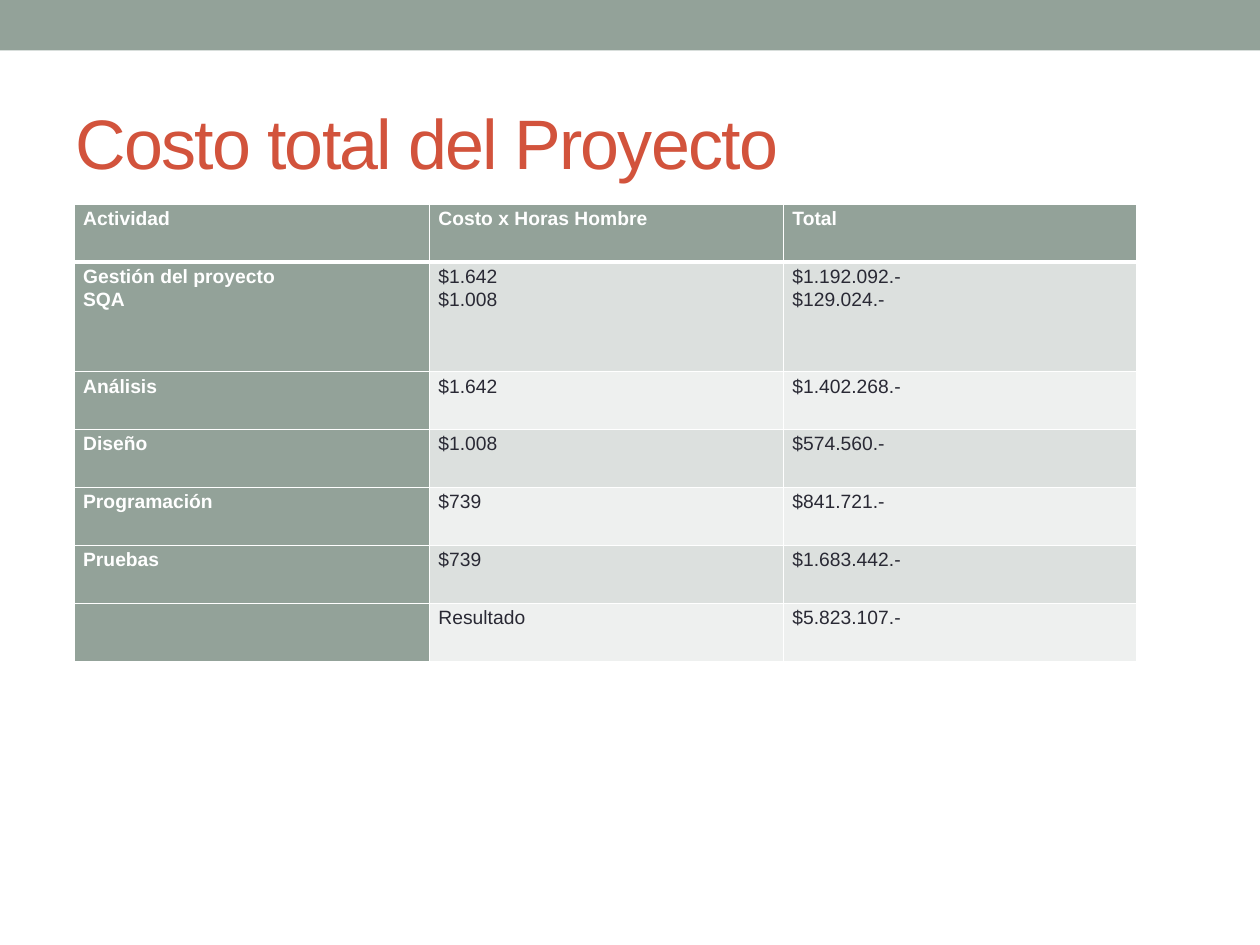
from lxml.etree import SubElement
from pptx import Presentation
from pptx.dml.color import RGBColor
from pptx.enum.shapes import MSO_SHAPE
from pptx.enum.text import MSO_ANCHOR, PP_ALIGN
from pptx.oxml.ns import qn
from pptx.util import Inches, Pt

COLORS = {
    "sage": "93A299",
    "title": "D2533C",
    "ink": "292934",
    "white": "FFFFFF",
    "band_dark": "DCE0DE",
    "band_light": "EEF0EF",
}
FONT = "Arial"
COLUMN_WIDTHS = [2.82, 2.81, 2.8]
ROW_HEIGHT = 0.46
TALL_ROW_HEIGHT = 0.87
COSTS = [
    ("Actividad", "Costo x Horas Hombre", "Total"),
    ("Gestión del proyecto\nSQA", "$1.642\n$1.008", "$1.192.092.-\n$129.024.-"),
    ("Análisis", "$1.642", "$1.402.268.-"),
    ("Diseño", "$1.008", "$574.560.-"),
    ("Programación", "$739", "$841.721.-"),
    ("Pruebas", "$739", "$1.683.442.-"),
    ("", "Resultado", "$5.823.107.-"),
]


def rgb(name):
    return RGBColor.from_string(COLORS[name])


def style_font(font, size, color, bold=False):
    font.name = FONT
    font.size = Pt(size)
    font.bold = bold
    font.color.rgb = rgb(color)


def add_top_band(slide, left, top, width, height):
    band = slide.shapes.add_shape(MSO_SHAPE.RECTANGLE, left, top, width, height)
    band.shadow.inherit = False
    band.fill.solid()
    band.fill.fore_color.rgb = rgb("sage")
    band.line.fill.background()


def add_title(slide, left, top, width, height):
    title = slide.shapes.title
    title.left, title.top, title.width, title.height = left, top, width, height
    frame = title.text_frame
    frame.vertical_anchor = MSO_ANCHOR.MIDDLE
    heading = frame.paragraphs[0]
    heading.alignment = PP_ALIGN.LEFT
    run = heading.add_run()
    run.text = "Costo total del Proyecto"
    style_font(heading.font, 40, "title")
    run._r.get_or_add_rPr().set("spc", "-100")


def set_borders(cell, widths):
    """Draw white cell borders; widths maps each side to points."""
    properties = cell._tc.get_or_add_tcPr()
    for side, width in widths.items():
        line = SubElement(properties, qn(f"a:ln{side}"), w=str(Pt(width)))
        fill = SubElement(line, qn("a:solidFill"))
        SubElement(fill, qn("a:srgbClr"), val=COLORS["white"])


def fill_cell(cell, text, row, column):
    is_heading = row == 0 or column == 0
    set_borders(cell, {"L": 1, "R": 1, "T": 3 if row == 1 else 1, "B": 3 if row == 0 else 1})
    cell.fill.solid()
    band = "band_dark" if row % 2 else "band_light"
    cell.fill.fore_color.rgb = rgb("sage" if is_heading else band)
    cell.margin_left = cell.margin_right = Inches(0.07)
    cell.margin_top = cell.margin_bottom = Inches(0.02)
    entry = cell.text_frame.paragraphs[0]
    entry.text = text
    entry.line_spacing = 1.07
    style_font(entry.font, 11, "white" if is_heading else "ink", is_heading)


def add_cost_table(slide, left, top, width, height):
    costs = slide.shapes.add_table(
        len(COSTS), len(COLUMN_WIDTHS), left, top, width, height
    ).table
    for column, column_width in zip(costs.columns, COLUMN_WIDTHS):
        column.width = Inches(column_width)
    for row, entries in enumerate(COSTS):
        costs.rows[row].height = Inches(TALL_ROW_HEIGHT if row == 1 else ROW_HEIGHT)
        for column, text in enumerate(entries):
            fill_cell(costs.cell(row, column), text, row, column)


def main():
    prs = Presentation()
    prs.slide_width, prs.slide_height = Inches(10), Inches(7.5)
    slide = prs.slides.add_slide(prs.slide_layouts[5])

    # Band across the top, title, cost table
    add_top_band(slide, 0, 0, prs.slide_width, Inches(0.4))
    add_title(slide, Inches(0.5), Inches(0.58), Inches(9), Inches(1.08))
    add_cost_table(slide, Inches(0.59), Inches(1.62), Inches(8.43), Inches(3.65))

    prs.save("out.pptx")


if __name__ == "__main__":
    main()
